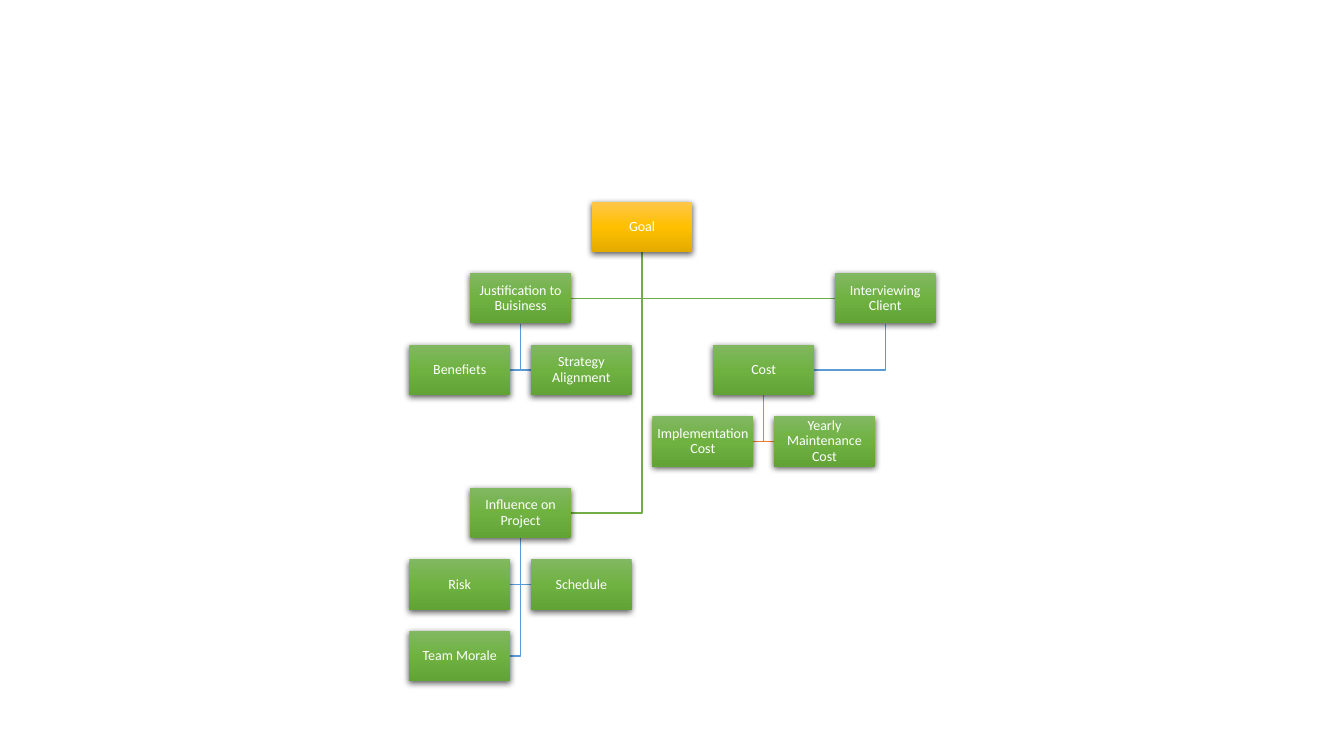
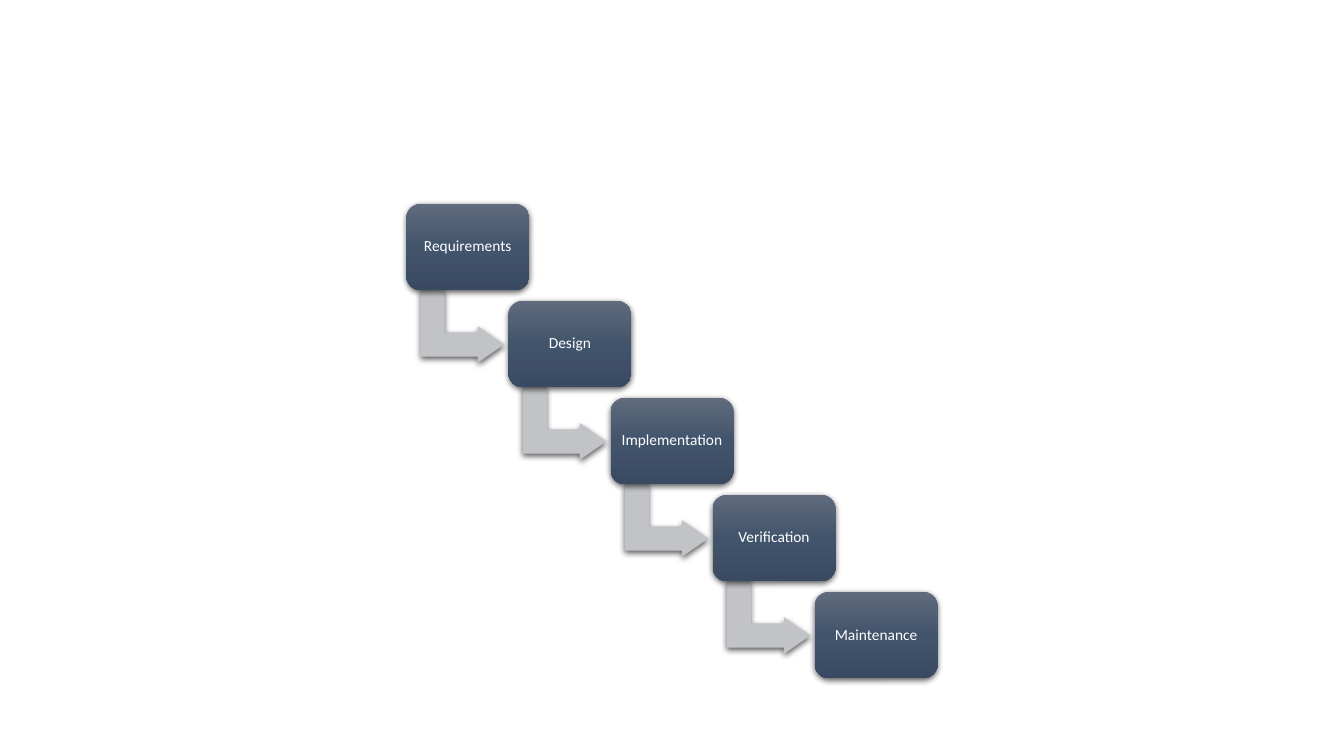
from copy import deepcopy
from dataclasses import dataclass

from lxml import etree
from pptx import Presentation
from pptx.dml.color import RGBColor
from pptx.enum.shapes import MSO_SHAPE
from pptx.enum.text import MSO_ANCHOR, PP_ALIGN
from pptx.oxml.ns import qn
from pptx.util import Inches, Pt

RECT = MSO_SHAPE.RECTANGLE
ROUND = MSO_SHAPE.ROUNDED_RECTANGLE
BENT = MSO_SHAPE.BENT_UP_ARROW
MIDDLE = MSO_ANCHOR.MIDDLE
CENTER = PP_ALIGN.CENTER


@dataclass(frozen=True)
class Theme:
    font: str = "Calibri"
    small: int = 10
    large: int = 11
    line: int = 1
    white: str = "FFFFFF"
    gold: tuple = ("FFC64B", "FFC000", "E3AB00")
    green: tuple = ("81B861", "6FB242", "62A336")
    slate: tuple = ("606B7D", "42546C", "394A62")
    gray: str = "C1C3C7"
    leaf: str = "70AD47"
    blue: str = "5B9BD5"
    orange: str = "ED7D31"


THEME = Theme()

# Name: (half column, row, parent, line colour)
TREE = {
    "Goal": (3, 0, None, None),
    "Justification to Buisiness": (1, 1, "Goal", THEME.leaf),
    "Benefiets": (0, 2, "Justification to Buisiness", THEME.blue),
    "Strategy Alignment": (2, 2, "Justification to Buisiness", THEME.blue),
    "Interviewing Client": (7, 1, "Goal", THEME.leaf),
    "Cost": (5, 2, "Interviewing Client", THEME.blue),
    "Implementation Cost": (4, 3, "Cost", THEME.orange),
    "Yearly Maintenance Cost": (6, 3, "Cost", THEME.orange),
    "Influence on Project": (1, 4, "Goal", THEME.leaf),
    "Risk": (0, 5, "Influence on Project", THEME.blue),
    "Schedule": (2, 5, "Influence on Project", THEME.blue),
    "Team Morale": (0, 6, "Influence on Project", THEME.blue),
}
PHASES = ["Requirements", "Design", "Implementation", "Verification", "Maintenance"]


def color(code):
    return RGBColor.from_string(code)


def write(shape, text, size=THEME.small, inset=0.01, tint=THEME.white):
    """Set centred text inside a shape."""
    frame = shape.text_frame
    frame.word_wrap = True
    frame.vertical_anchor = MIDDLE
    frame.margin_left = frame.margin_right = Inches(inset)
    frame.margin_top = frame.margin_bottom = Inches(inset)
    para = frame.paragraphs[0]
    para.alignment = CENTER
    para.line_spacing = 0.9
    run = para.add_run()
    run.text = text
    run.font.name = THEME.font
    run.font.size = Pt(size)
    run.font.color.rgb = color(tint)


def shade(shape, tones):
    """Fill from top to bottom with three tones."""
    fill = shape.fill
    fill.gradient()
    fill.gradient_angle = 270
    stops = next(shape._element.iter(qn("a:gsLst")))
    stops.append(deepcopy(stops[0]))
    for stop, place, tone in zip(fill.gradient_stops, (0, 0.5, 1), tones):
        stop.position = place
        stop.color.rgb = color(tone)


def block(slide, kind, box, paint):
    """Add a borderless shape with a soft shadow below it."""
    shape = slide.shapes.add_shape(kind, *map(Inches, box))
    if isinstance(paint, tuple):
        shade(shape, paint)
    else:
        shape.fill.solid()
        shape.fill.fore_color.rgb = color(paint)
    shape.line.fill.background()
    shape.shadow.inherit = False
    effect = next(shape._element.iter(qn("a:effectLst")))
    glow = etree.SubElement(effect, qn("a:outerShdw"), blurRad=str(Pt(4.5)),
                            dist=str(Pt(1.5)), dir="5400000", algn="ctr", rotWithShape="0")
    black = etree.SubElement(glow, qn("a:srgbClr"), val="000000")
    etree.SubElement(black, qn("a:alpha"), val="63000")
    return shape


def elbow(slide, start, end, tint):
    """Draw a line down from start, then across to end."""
    points = [(Inches(x), Inches(y)) for x, y in (start, (start[0], end[1]), end)]
    pen = slide.shapes.build_freeform(*points[0])
    pen.add_line_segments(points[1:], close=False)
    shape = pen.convert_to_shape()
    shape.fill.background()
    shape.line.color.rgb = color(tint)
    shape.line.width = Pt(THEME.line)
    shape.shadow.inherit = False


def chart_tree(slide, box):
    """Place the goal tree on a grid of half columns and rows."""
    left, top, width, height = box
    wide, high = 1, 0.5
    across, down = (width - wide) / 7, (height - high) / 6
    spots = {name: (left + col * across, top + row * down)
             for name, (col, row, *_) in TREE.items()}

    # Lines lie behind the boxes
    for name, (_, _, parent, tint) in TREE.items():
        if parent:
            x, y = spots[name]
            px, py = spots[parent]
            side = x + wide if x < px else x
            elbow(slide, (px + wide / 2, py + high), (side, y + high / 2), tint)

    # Boxes
    for name, (x, y) in spots.items():
        tones = THEME.green if TREE[name][2] else THEME.gold
        write(block(slide, RECT, (x, y, wide, high), tones), name)


def stairs(slide, box):
    """Place the phases as steps, joined by bent arrows."""
    left, top, width, height = box
    wide, high = 1.22, 0.86
    last = len(PHASES) - 1
    across, down = (width - wide) / last, (height - high) / last
    for i, name in enumerate(PHASES):
        x, y = left + i * across, top + i * down
        if i < last:
            arrow = block(slide, BENT, (x + 0.19, y + 0.8, 0.73, 0.83), THEME.gray)
            arrow.rotation = 90
            for k, value in enumerate((0.33, 0.25, 0.36)):
                arrow.adjustments[k] = value
        step = block(slide, ROUND, (x, y, wide, high), THEME.slate)
        write(step, name, size=THEME.large, inset=0.05)


def main():
    deck = Presentation()
    deck.slide_width, deck.slide_height = Inches(13.33), Inches(7.5)
    blank = deck.slide_layouts[6]
    chart_tree(deck.slides.add_slide(blank), (4.06, 2, 5.22, 4.76))
    stairs(deck.slides.add_slide(blank), (4.03, 2.02, 5.27, 4.71))
    deck.save("out.pptx")


if __name__ == "__main__":
    main()
